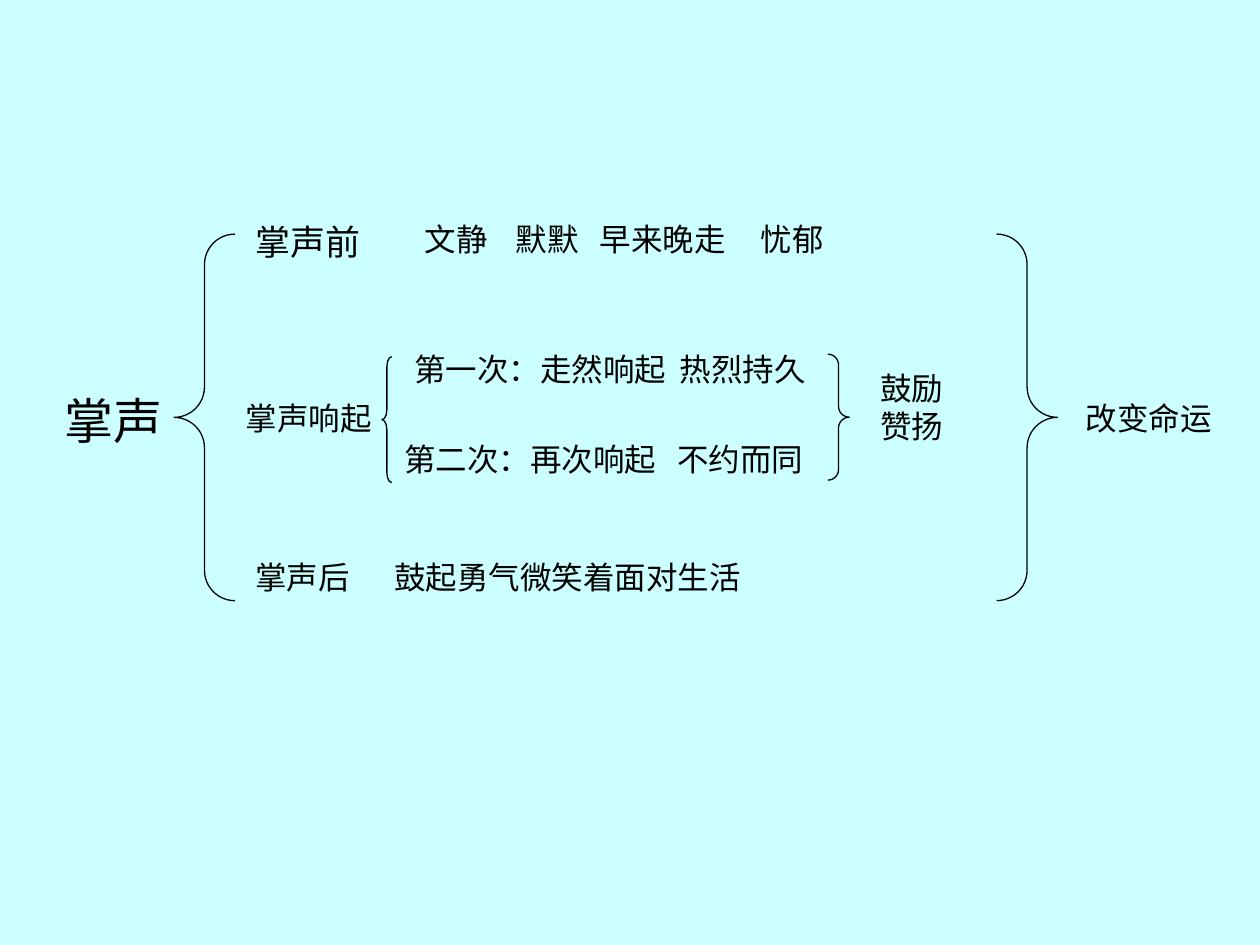
import pptx
import pptx.dml.color
import pptx.enum.shapes
import pptx.enum.text
import pptx.oxml
import pptx.util
from pptx.oxml.ns import qn

Cm = pptx.util.Cm
Brace = pptx.enum.shapes.MSO_SHAPE
FONT = "Arial"
INK = "000000"
BACKGROUND = "CCFFFF"


def colour(value):
    """Turn a hex string into a colour."""
    return pptx.dml.color.RGBColor.from_string(value)


def add_tab_stops(para, stops):
    """Give a paragraph left tab stops at distances in centimetres."""
    properties = para._p.get_or_add_pPr()
    tab_list = pptx.oxml.parse_xml(
        '<a:tabLst xmlns:a="http://schemas.openxmlformats.org/drawingml/2006/main"/>')
    for stop in stops:
        tab = tab_list.makeelement(qn("a:tab"), {"pos": str(int(Cm(stop))), "algn": "l"})
        tab_list.append(tab)
    properties.append(tab_list)


def add_label(page, phrases, left, top, width, height=1.02, size=18, stops=(), centred=False):
    """Add one line of phrases, parted by tab stops."""
    box = page.shapes.add_textbox(Cm(left), Cm(top), Cm(width), Cm(height))
    frame = box.text_frame
    frame.word_wrap = True
    frame.auto_size = pptx.enum.text.MSO_AUTO_SIZE.SHAPE_TO_FIT_TEXT
    para = frame.paragraphs[0]
    if centred:
        para.alignment = pptx.enum.text.PP_ALIGN.CENTER
    if stops:
        add_tab_stops(para, stops)
    span = para.add_run()
    span.text = "\t".join(phrases)
    span.font.name = FONT
    span.font.size = pptx.util.Pt(size)
    span.font.color.rgb = colour(INK)


def add_brace(page, kind, left, top, width, height, curve):
    """Add an unfilled brace with a thin line."""
    brace = page.shapes.add_shape(kind, Cm(left), Cm(top), Cm(width), Cm(height))
    brace.adjustments[0] = curve
    brace.shadow.inherit = False
    brace.fill.background()
    brace.line.color.rgb = colour(INK)
    brace.line.width = pptx.util.Pt(0.75)


def main():
    """Build the story outline and save it."""
    deck = pptx.Presentation()
    deck.slide_width, deck.slide_height = Cm(25.4), Cm(19.05)
    page = deck.slides.add_slide(deck.slide_layouts[6])
    page.background.fill.solid()
    page.background.fill.fore_color.rgb = colour(BACKGROUND)

    first_row, middle_row, last_row = 4.32, 7.92, 11.13
    add_label(page, ["掌声"], 0.69, 7.75, 3.2, 1.45, size=28, centred=True)
    add_brace(page, Brace.DOUBLE_BRACE, 3.51, 4.72, 17.81, 7.39, 0.083)
    add_label(page, ["改变命运"], 21.64, middle_row, 3.5)

    add_label(page, ["掌声前"], 4.9, first_row, 12.6, 1.12, size=20)
    add_label(page, ["掌声响起"], 4.7, middle_row, 3.81)
    add_label(page, ["掌声后"], 4.9, last_row, 2.79)

    add_label(page, ["文静", "默默", "早来晚走", "忧郁"], 8.31, first_row, 10.41,
              stops=(1.84, 3.53, 6.78))
    add_brace(page, Brace.LEFT_BRACE, 7.7, 7.19, 0.2, 2.54, 1)
    add_label(page, ["第一次：走然响起", "热烈持久"], 8.1, 6.93, 8.61, stops=(5.35,))
    add_label(page, ["第二次：再次响起", "不约而同"], 7.9, 8.74, 8.99, stops=(5.5,))
    add_brace(page, Brace.RIGHT_BRACE, 16.69, 7.14, 0.43, 2.54, 0.5)
    add_label(page, ["鼓励赞扬"], 17.5, 7.32, 2.39, 1.78)
    add_label(page, ["鼓起勇气微笑着面对生活"], 7.7, last_row, 9.4, 2.18)

    deck.save("out.pptx")


if __name__ == "__main__":
    main()
